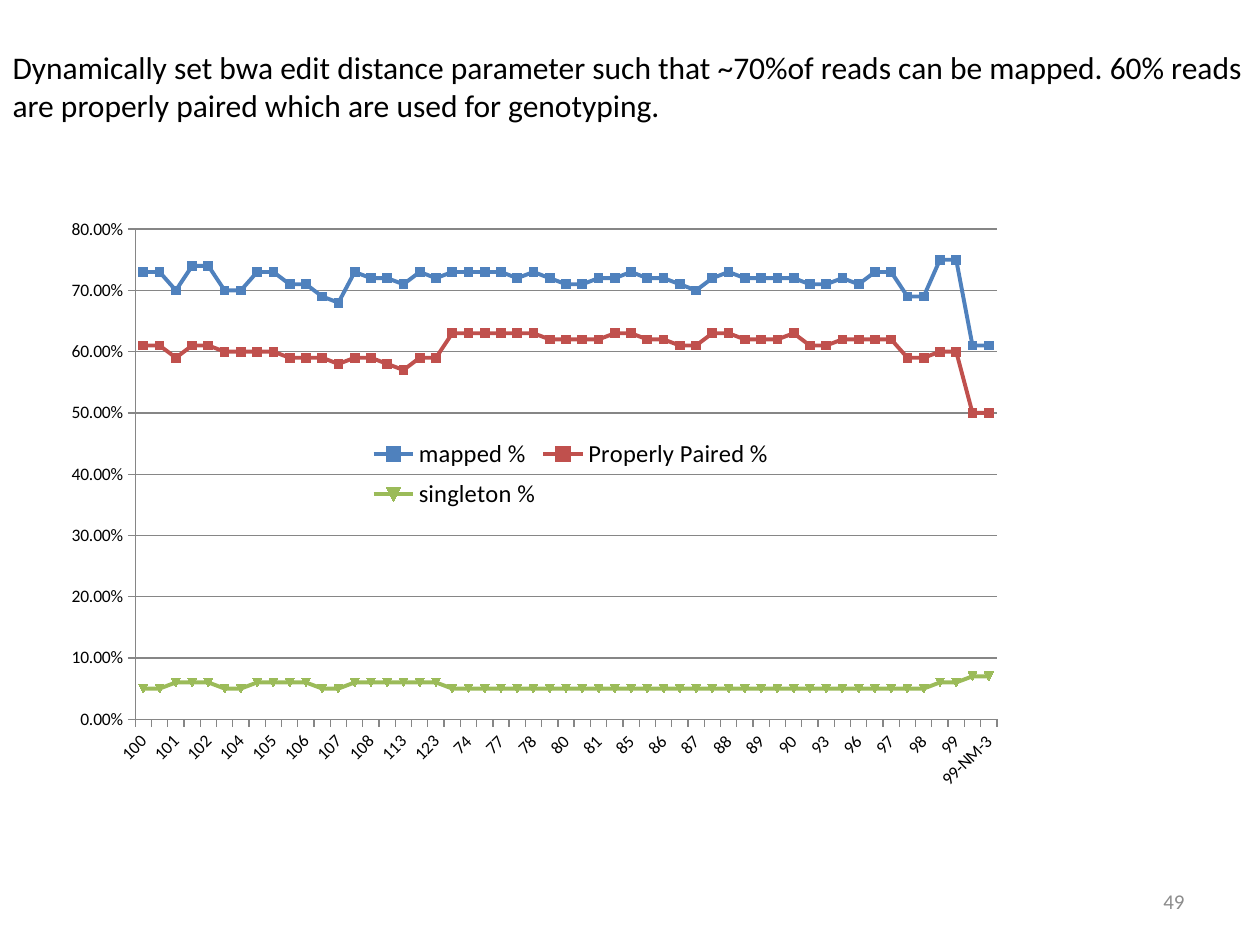
import dataclasses
import typing

import lxml.etree
import pptx
import pptx.chart.data
import pptx.dml.color
import pptx.enum.chart
import pptx.enum.text
import pptx.oxml.ns
import pptx.util

Cm = pptx.util.Cm
Pt = pptx.util.Pt
Mark = pptx.enum.chart.XL_MARKER_STYLE
Tick = pptx.enum.chart.XL_TICK_MARK
Align = pptx.enum.text.PP_ALIGN
Anchor = pptx.enum.text.MSO_ANCHOR
FACE = "Calibri"
GREY = "868686"


@dataclasses.dataclass
class Trend:
    name: str
    hue: str
    mark: typing.Any
    rates: str


NAMES = (
    "100 100 101 102 102 104 104 105 105 106 106 107 107 108 108 113 113 123 123 "
    "74 74 77 77 78 78 80 80 81 81 85 85 86 86 87 87 88 88 89 89 90 90 93 93 94 "
    "96 97 97 98 98 99 99 99-NM-3 99-NM-3"
).split()

TRENDS = [
    Trend("mapped %", "4F81BD", None,
          "73 73 70 74 74 70 70 73 73 71 71 69 68 73 72 72 71 73 72 73 73 73 73 72 73 "
          "72 71 71 72 72 73 72 72 71 70 72 73 72 72 72 72 71 71 72 71 73 73 69 69 75 "
          "75 61 61"),
    Trend("Properly Paired %", "C0504D", Mark.SQUARE,
          "61 61 59 61 61 60 60 60 60 59 59 59 58 59 59 58 57 59 59 63 63 63 63 63 63 "
          "62 62 62 62 63 63 62 62 61 61 63 63 62 62 62 63 61 61 62 62 62 62 59 59 60 "
          "60 50 50"),
    Trend("singleton %", "9BBB59", None,
          "5 5 6 6 6 5 5 6 6 6 6 5 5 6 6 6 6 6 6 5 5 5 5 5 5 5 5 5 5 5 5 5 5 5 5 5 5 "
          "5 5 5 5 5 5 5 5 5 5 5 5 6 6 7 7"),
]


def color(code: str) -> pptx.dml.color.RGBColor:
    return pptx.dml.color.RGBColor.from_string(code)


def style(font, size: float, code: str) -> None:
    font.name = FACE
    font.size = Pt(size)
    font.color.rgb = color(code)


def place(shape, left: float, top: float, width: float, height: float) -> None:
    shape.left, shape.top = Cm(left), Cm(top)
    shape.width, shape.height = Cm(width), Cm(height)


def write(shape, text: str, size: float, code: str, align, anchor) -> None:
    frame = shape.text_frame
    frame.word_wrap = True
    frame.auto_size = pptx.enum.text.MSO_AUTO_SIZE.NONE
    frame.vertical_anchor = anchor
    para = frame.paragraphs[0]
    para.alignment = align
    run = para.add_run()
    run.text = text
    style(run.font, size, code)


def lay(part, index: int, box: tuple, inner: bool = False) -> None:
    qn = pptx.oxml.ns.qn
    for old in part.findall(qn("c:layout")):
        part.remove(old)
    layout = lxml.etree.Element(qn("c:layout"))
    manual = lxml.etree.SubElement(layout, qn("c:manualLayout"))
    pairs = [("layoutTarget", "inner")] if inner else []
    pairs += [("xMode", "edge"), ("yMode", "edge")]
    pairs += zip("xywh", map(str, box))
    for tag, value in pairs:
        lxml.etree.SubElement(manual, qn("c:" + tag)).set("val", value)
    part.insert(index, layout)


def rule(line) -> None:
    line.color.rgb = color(GREY)
    line.width = Pt(0.75)


def paint(series, trend: Trend) -> None:
    series.smooth = False
    series.format.line.color.rgb = color(trend.hue)
    series.format.line.width = Pt(2.25)
    mark = series.marker
    if trend.mark is not None:
        mark.style = trend.mark
    mark.size = 5
    mark.format.fill.solid()
    mark.format.fill.fore_color.rgb = color(trend.hue)
    mark.format.line.color.rgb = color(trend.hue)


def plot(slide) -> None:
    data = pptx.chart.data.CategoryChartData(number_format="0.00%")
    data.categories = NAMES
    for trend in TRENDS:
        data.add_series(trend.name, [int(rate) / 100 for rate in trend.rates.split()])
    kind = pptx.enum.chart.XL_CHART_TYPE.LINE_MARKERS
    chart = slide.shapes.add_chart(
        kind, Cm(0.1), Cm(4.01), Cm(20.2), Cm(12.2), data).chart
    style(chart.font, 10, "000000")
    chart.has_title = False
    chart.plots[0].vary_by_categories = False
    lay(chart.plots[0]._element.getparent(), 0, (0.13, 0.05, 0.86, 0.81), True)

    for axis in (chart.category_axis, chart.value_axis):
        axis.major_tick_mark = Tick.OUTSIDE
        axis.minor_tick_mark = Tick.NONE
        rule(axis.format.line)
        style(axis.tick_labels.font, 10, "000000")
    chart.category_axis.has_major_gridlines = False
    scale = chart.value_axis
    scale.minimum_scale, scale.maximum_scale, scale.major_unit = 0, 0.8, 0.1
    scale.has_major_gridlines = True
    rule(scale.major_gridlines.format.line)
    scale.tick_labels.number_format = "0.00%"
    scale.tick_labels.number_format_is_linked = False

    chart.has_legend = True
    legend = chart.legend
    legend.position = pptx.enum.chart.XL_LEGEND_POSITION.RIGHT
    legend.include_in_layout = False
    style(legend.font, 14, "000000")
    lay(legend._element, 1, (0.36, 0.38, 0.41, 0.15))
    for series, trend in zip(chart.plots[0].series, TRENDS):
        paint(series, trend)


def main() -> None:
    deck = pptx.Presentation()
    deck.slide_width, deck.slide_height = Cm(25.4), Cm(19.05)
    slide = deck.slides.add_slide(deck.slide_layouts[5])
    title = slide.shapes.title
    place(title, 0, 0.84, 25.4, 1.8)
    write(title, "Dynamically set bwa edit distance parameter such that ~70%of reads "
          "can be mapped. 60% reads are properly paired which are used for genotyping.",
          18, "000000", Align.LEFT, Anchor.TOP)
    plot(slide)
    page = slide.shapes.add_textbox(Cm(18.2), Cm(17.65), Cm(5.93), Cm(1.02))
    write(page, "49", 12, "8C8C8C", Align.RIGHT, Anchor.MIDDLE)
    deck.save("out.pptx")


if __name__ == "__main__":
    main()
